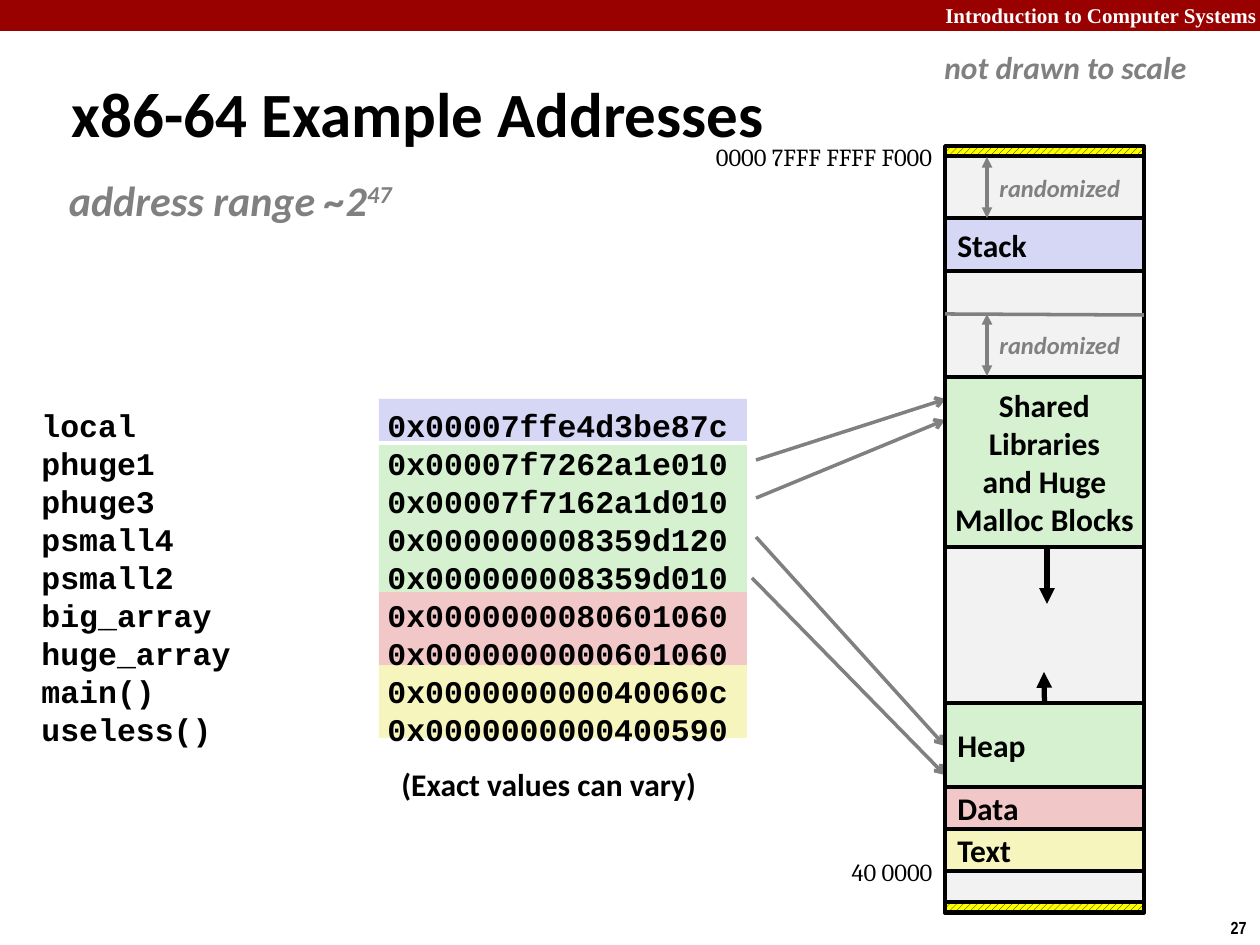
from dataclasses import dataclass

from lxml.etree import SubElement
from pptx import Presentation
from pptx.dml.color import RGBColor
from pptx.enum.dml import MSO_PATTERN
from pptx.enum.shapes import MSO_CONNECTOR, MSO_SHAPE
from pptx.enum.text import MSO_ANCHOR, MSO_AUTO_SIZE, PP_ALIGN
from pptx.oxml.ns import qn
from pptx.util import Emu, Pt

EMU_PER_PIXEL = 914400 / 126


def px(length):
    return Emu(round(length * EMU_PER_PIXEL))


@dataclass(frozen=True)
class TextStyle:
    font: str
    size: int
    color: str = "000000"
    bold: bool = True
    italic: bool = False


@dataclass(frozen=True)
class Theme:
    black: str = "000000"
    gray: str = "808080"
    banner: str = "990000"
    unused: str = "F2F2F2"
    stack: str = "D6D6F5"
    dynamic: str = "D5F1CF"
    data: str = "F1C7C7"
    code: str = "F6F5BD"
    hatch: str = "FFFF00"
    title: TextStyle = TextStyle("Calibri", 36)
    label: TextStyle = TextStyle("Calibri", 18)
    listing: TextStyle = TextStyle("Courier New", 18)
    subtitle: TextStyle = TextStyle("Calibri", 24, "808080", italic=True)
    remark: TextStyle = TextStyle("Calibri", 18, "808080", italic=True)
    small_remark: TextStyle = TextStyle("Calibri", 14, "808080", italic=True)
    address: TextStyle = TextStyle("Cambria", 14, bold=False)
    course: TextStyle = TextStyle("Times New Roman", 12, "FFFFFF")
    number: TextStyle = TextStyle("Arial Narrow", 10)


class SlideBuilder:
    def __init__(self, slide, theme):
        self.slide = slide
        self.theme = theme

    def format_text(self, frame, style, align=PP_ALIGN.LEFT):
        for para in frame.paragraphs:
            para.alignment = align
            for span in para.runs:
                font = span.font
                font.name, font.size = style.font, Pt(style.size)
                font.bold, font.italic = style.bold, style.italic
                font.color.rgb = RGBColor.from_string(style.color)

    def title(self, text, left, top, width, height):
        box = self.slide.shapes.title
        box.left, box.top, box.width, box.height = map(px, (left, top, width, height))
        frame = box.text_frame
        frame.text = text
        frame.vertical_anchor = MSO_ANCHOR.MIDDLE
        frame.auto_size = MSO_AUTO_SIZE.NONE
        self.format_text(frame, self.theme.title)

    def text(self, text, left, top, width, height, style, align=PP_ALIGN.LEFT, wrap=False):
        box = self.slide.shapes.add_textbox(*map(px, (left, top, width, height)))
        frame = box.text_frame
        frame.word_wrap = wrap
        frame.text = text
        self.format_text(frame, style, align)
        return frame

    def power(self, base, exponent, left, top, width, height, style):
        frame = self.text(base, left, top, width, height, style)
        frame.margin_left = frame.margin_right = px(6)
        span = frame.paragraphs[0].add_run()
        span.text = exponent
        self.format_text(frame, style)
        span.font._element.set("baseline", "30000")

    def listing(self, rows, left, top, width, height, tab):
        lines = "\n".join("\t".join(row) for row in rows)
        frame = self.text(lines, left, top, width, height, self.theme.listing, wrap=True)
        frame.margin_top = px(9)
        for para in frame.paragraphs:
            para.line_spacing = Pt(21.7)
            tabs = SubElement(para._p.get_or_add_pPr(), qn("a:tabLst"))
            SubElement(tabs, qn("a:tab"), pos=str(px(tab)), algn="l")

    def rectangle(self, left, top, width, height, fill, outlined=False, hatched=False):
        box = self.slide.shapes.add_shape(
            MSO_SHAPE.RECTANGLE, *map(px, (left, top, width, height)))
        box.shadow.inherit = False
        if hatched:
            box.fill.patterned()
            box.fill.pattern = MSO_PATTERN.WIDE_UPWARD_DIAGONAL
            box.fill.fore_color.rgb = RGBColor.from_string(self.theme.black)
            box.fill.back_color.rgb = RGBColor.from_string(fill)
        else:
            box.fill.solid()
            box.fill.fore_color.rgb = RGBColor.from_string(fill)
        if outlined:
            box.line.color.rgb = RGBColor.from_string(self.theme.black)
            box.line.width = Pt(2)
        else:
            box.line.fill.background()
        return box

    def region(self, text, left, top, width, height, fill, align=PP_ALIGN.LEFT):
        box = self.rectangle(left, top, width, height, fill, outlined=True)
        frame = box.text_frame
        frame.word_wrap = False
        frame.vertical_anchor = MSO_ANCHOR.MIDDLE
        frame.text = text
        self.format_text(frame, self.theme.label, align)
        return box

    def line(self, start, end, color, width=2, head=None, tail=None):
        link = self.slide.shapes.add_connector(
            MSO_CONNECTOR.STRAIGHT, *map(px, (*start, *end)))
        link.line.color.rgb = RGBColor.from_string(color)
        link.line.width = Pt(width)
        outline = link.line._get_or_add_ln()
        for tag, kind in (("a:headEnd", head), ("a:tailEnd", tail)):
            if kind:
                SubElement(outline, qn(tag), type=kind)
        SubElement(link._element.spPr, qn("a:effectLst"))
        return link


def main():
    deck = Presentation()
    deck.slide_width, deck.slide_height = px(1260), px(945)
    theme = Theme()
    page = SlideBuilder(deck.slides.add_slide(deck.slide_layouts[5]), theme)

    # Banner and page number
    page.rectangle(0, 0, 1260, 31, theme.banner)
    page.text("Introduction to Computer Systems", 756, -4, 513, 38,
              theme.course, PP_ALIGN.RIGHT, wrap=True)
    page.text("27", 1217, 911, 43, 34, theme.number, PP_ALIGN.CENTER)

    # Bands behind the addresses
    for top, height, fill in ((665, 73, theme.code), (591, 74, theme.data),
                              (399, 42, theme.stack), (445, 147, theme.dynamic)):
        page.rectangle(379, top, 368, height, fill)

    # Headings and remarks
    page.title("x86-64 Example Addresses", 59, 73, 906, 79)
    page.power("address range ~2", "47", 63, 168, 341, 64, theme.subtitle)
    page.text("not drawn to scale", 932, 42, 268, 50, theme.remark)
    page.text("(Exact values can vary)", 389, 759, 323, 50, theme.label)

    # Variables and their addresses
    page.listing((
        ("local", "0x00007ffe4d3be87c"),
        ("phuge1", "0x00007f7262a1e010"),
        ("phuge3", "0x00007f7162a1d010"),
        ("psmall4", "0x000000008359d120"),
        ("psmall2", "0x000000008359d010"),
        ("big_array", "0x0000000080601060"),
        ("huge_array", "0x0000000000601060"),
        ("main()", "0x000000000040060c"),
        ("useless()", "0x0000000000400590"),
    ), 29, 397, 777, 355, tab=346)

    # Arrows from addresses to memory regions
    for start, end in (((756, 460), (946, 399)), ((756, 498), (945, 420)),
                       ((756, 537), (945, 746)), ((752, 578), (945, 775))):
        page.line(start, end, theme.gray, tail="arrow")

    # Memory column
    left, width = 945, 199
    page.rectangle(left, 147, width, 766, theme.unused, outlined=True)
    page.line((left, 314), (left + width, 315), theme.gray)
    for text, top, height, fill in (("Stack", 218, 53, theme.stack),
                                    ("Text", 829, 42, theme.code),
                                    ("Data", 787, 42, theme.data)):
        page.region(text, left, top, width, height, fill)
    heap = page.region("Heap", left, 703, width, 84, theme.dynamic)
    page.region("Shared\nLibraries\nand Huge\nMalloc Blocks", left, 377, width, 170,
                theme.dynamic, PP_ALIGN.CENTER)
    for top in (146, 902):
        page.rectangle(left, top, width, 10, theme.hatch, outlined=True, hatched=True)

    # Growth directions
    growth = page.line((1044, 703), (1044, 672), theme.black, 3, tail="triangle")
    growth.begin_connect(heap, 0)
    page.line((1047, 547), (1047, 604), theme.black, 3, tail="triangle")

    # Randomized gaps
    for top, bottom, label_top in ((157, 218, 167), (314, 376, 324)):
        page.line((987, top), (987, bottom), theme.gray, head="triangle", tail="triangle")
        page.text("randomized", 987, label_top, 147, 43, theme.small_remark)

    # Boundary addresses
    for text, top in (("0000 7FFF FFFF F000", 136), ("40 0000", 851)):
        page.text(text, 514, top, 431, 43, theme.address, PP_ALIGN.RIGHT, wrap=True)

    deck.save("out.pptx")


if __name__ == "__main__":
    main()
